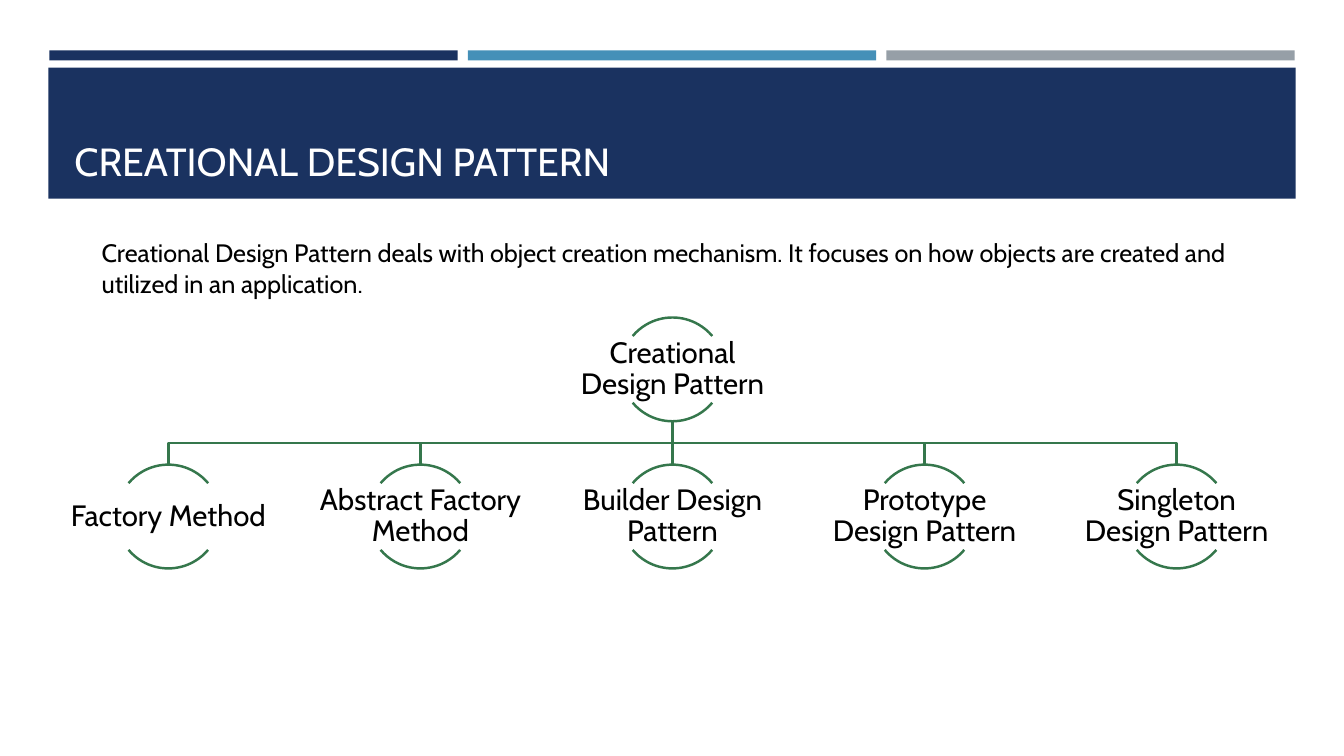
import pptx
import pptx.util
import pptx.dml.color
import pptx.enum.shapes
import pptx.enum.text
import pptx.oxml
from dataclasses import dataclass

Inches = pptx.util.Inches
Kind = pptx.enum.shapes.MSO_SHAPE
Align = pptx.enum.text.PP_ALIGN
Anchor = pptx.enum.text.MSO_ANCHOR


@dataclass(frozen=True)
class Theme:
    font: str = "Cabin"
    navy: str = "1A3260"
    blue: str = "4590B8"
    gray: str = "969FA7"
    green: str = "35774C"
    white: str = "FFFFFF"
    black: str = "000000"
    title: int = 28
    body: int = 18
    node: int = 21
    line: float = 1.75


class Deck:
    def __init__(self, theme):
        self.theme = theme
        self.show = pptx.Presentation()
        self.show.slide_width = Inches(13.33)
        self.show.slide_height = Inches(7.5)
        self.slide = self.show.slides.add_slide(self.show.slide_layouts[6])
        self.shapes = self.slide.shapes
        back = self.slide.background.fill
        back.solid()
        back.fore_color.rgb = self.color(theme.white)

    def color(self, code):
        return pptx.dml.color.RGBColor.from_string(code)

    def stroke(self, shape):
        shape.line.color.rgb = self.color(self.theme.green)
        shape.line.width = pptx.util.Pt(self.theme.line)

    def bar(self, left, top, width, height, fill):
        shape = self.shapes.add_shape(
            Kind.RECTANGLE, Inches(left), Inches(top), Inches(width), Inches(height))
        shape.shadow.inherit = False
        shape.fill.solid()
        shape.fill.fore_color.rgb = self.color(fill)
        shape.line.fill.background()

    def text(self, left, top, width, height, words, size, color,
             anchor=Anchor.TOP, align=Align.LEFT, inset=None, space=None):
        box = self.shapes.add_textbox(
            Inches(left), Inches(top), Inches(width), Inches(height))
        frame = box.text_frame
        frame.word_wrap = True
        frame.vertical_anchor = anchor
        if inset is not None:
            frame.margin_left = frame.margin_right = Inches(inset)
            frame.margin_top = frame.margin_bottom = Inches(inset)
        para = frame.paragraphs[0]
        para.alignment = align
        if space is not None:
            para.line_spacing = space
        run = para.add_run()
        run.text = words
        run.font.name = self.theme.font
        run.font.size = pptx.util.Pt(size)
        run.font.color.rgb = self.color(color)
        return frame

    def arc(self, left, top, size, start, end):
        shape = self.shapes.add_shape(
            Kind.ARC, Inches(left), Inches(top), Inches(size), Inches(size))
        shape.shadow.inherit = False
        shape.adjustments[0] = start
        shape.adjustments[1] = end
        shape.fill.background()
        self.stroke(shape)

    def node(self, mid, top, words):
        size, width = 1.03, 2.07
        for start, end in ((132, 192), (24, 84)):
            self.arc(mid - size / 2, top, size, start, end)
        self.text(mid - width / 2, top + 0.185, width, 0.66, words,
                  self.theme.node, self.theme.black,
                  Anchor.MIDDLE, Align.CENTER, 0.01, 0.9)

    def branch(self, root, top, mid, end):
        bend = (top + end) / 2
        points = [(root, bend), (mid, bend), (mid, end)]
        build = self.shapes.build_freeform(Inches(root), Inches(top))
        build.add_line_segments(
            [(Inches(x), Inches(y)) for x, y in points], close=False)
        shape = build.convert_to_shape()
        shape.shadow.inherit = False
        shape.fill.background()
        self.stroke(shape)

    def stem(self, mid, top, end):
        link = self.shapes.add_connector(
            pptx.enum.shapes.MSO_CONNECTOR.STRAIGHT,
            Inches(mid), Inches(top), Inches(mid), Inches(end))
        self.stroke(link)
        props = link._element.spPr
        props.append(pptx.oxml.parse_xml(
            '<a:effectLst xmlns:a='
            '"http://schemas.openxmlformats.org/drawingml/2006/main"/>'))


def main():
    theme = Theme()
    deck = Deck(theme)

    deck.bar(0.48, 0.67, 12.37, 1.3, theme.navy)
    deck.text(0.64, 0.77, 12.06, 1.11, "CREATIONAL DESIGN PATTERN",
              theme.title, theme.white, Anchor.BOTTOM)
    for index, fill in enumerate((theme.navy, theme.blue, theme.gray)):
        deck.bar(0.49 + index * 4.15, 0.5, 4.05, 0.1, fill)

    intro = deck.text(
        0.91, 2.31, 11.79, 0.71,
        "Creational Design Pattern deals with object creation mechanism. "
        "It focuses on how objects are created and utilized in an application.",
        theme.body, theme.black)
    intro.auto_size = pptx.enum.text.MSO_AUTO_SIZE.SHAPE_TO_FIT_TEXT
    intro.paragraphs[0].space_after = pptx.util.Pt(6)

    root, foot, row = 6.67, 4.18, 4.61
    names = ("Factory Method", "Abstract Factory Method",
             "Builder Design Pattern", "Prototype Design Pattern",
             "Singleton Design Pattern")
    mids = [root + (index - 2) * 2.5 for index in range(len(names))]
    for mid in mids:
        if mid == root:
            deck.stem(root, foot, row)
        else:
            deck.branch(root, foot, mid, row)
    deck.node(root, 3.15, "Creational Design Pattern")
    for mid, name in zip(mids, names):
        deck.node(mid, row, name)

    deck.show.save("out.pptx")


if __name__ == "__main__":
    main()
